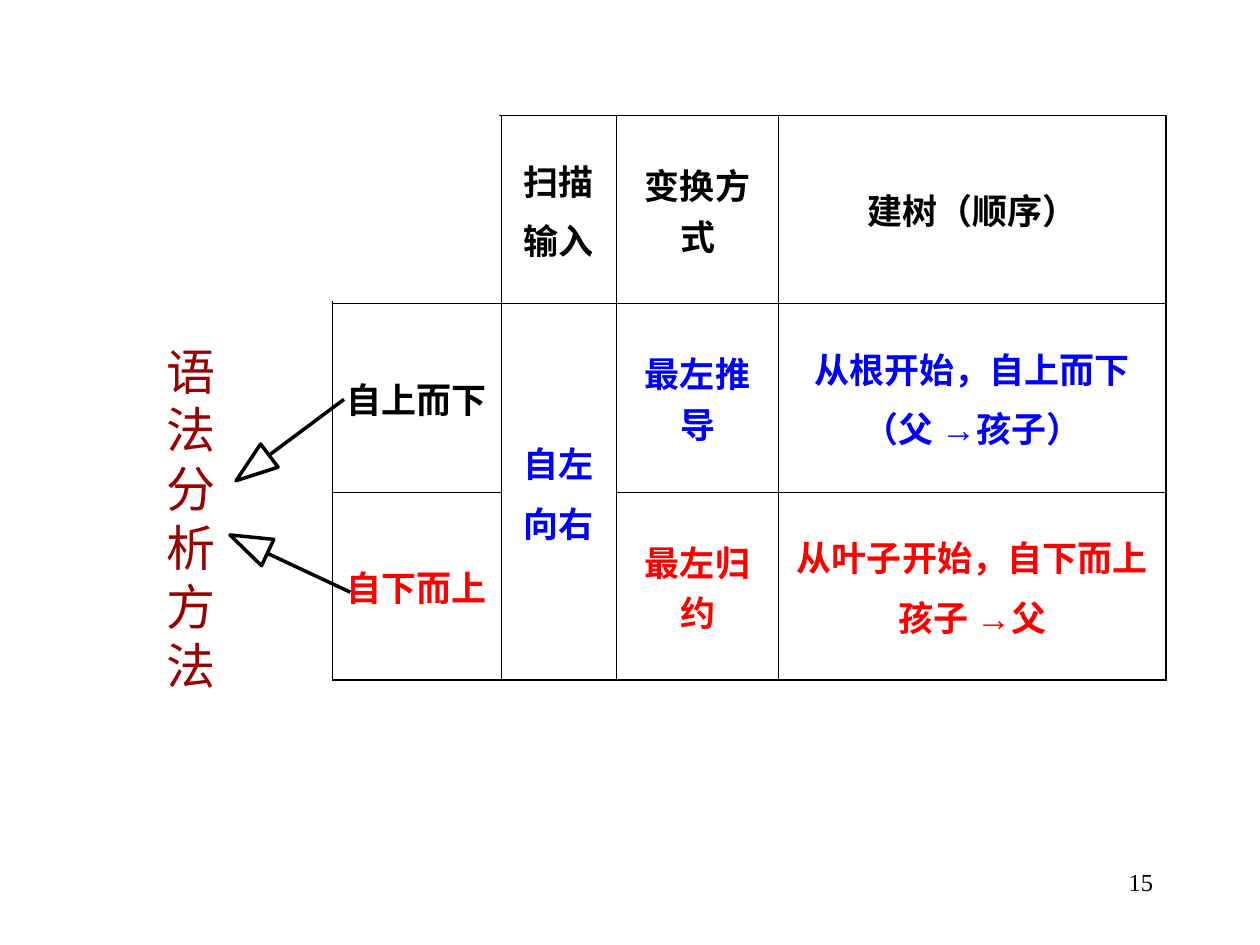
from pptx import Presentation
from pptx.dml.color import RGBColor
from pptx.enum.shapes import MSO_CONNECTOR, MSO_SHAPE
from pptx.enum.text import MSO_ANCHOR, PP_ALIGN
from pptx.oxml.ns import qn
from pptx.util import Pt
from lxml.etree import SubElement

BLACK = RGBColor(0, 0, 0)
WHITE = RGBColor(255, 255, 255)
BLUE = RGBColor(0, 0, 255)
RED = RGBColor(255, 0, 0)
DARK_RED = RGBColor(0x99, 0, 0)
LATIN, CJK, ARROW = "Times New Roman", "Noto Sans CJK SC", "Arial"


def add_run(paragraph, text, latin, east_asian, **formats):
    run = paragraph.add_run()
    run.text = text
    color = formats.pop("color")
    for name, value in {"name": latin, **formats}.items():
        setattr(run.font, name, value)
    run.font.color.rgb = color
    SubElement(run.font._element, qn("a:ea"), typeface=east_asian)


def add_border(cell, side, width):
    line = SubElement(cell._tc.get_or_add_tcPr(), qn(f"a:ln{side}"), w=str(Pt(width)))
    fill = SubElement(line, qn("a:solidFill"))
    SubElement(fill, qn("a:srgbClr"), val=str(BLACK))


prs = Presentation()
prs.slide_width, prs.slide_height = Pt(720), Pt(540)
slide = prs.slides.add_slide(prs.slide_layouts[6])

# Page number
page_number = slide.shapes.add_textbox(Pt(516), Pt(492), Pt(150), Pt(36)).text_frame
page_number.word_wrap = True
page_number.paragraphs[0].alignment = PP_ALIGN.RIGHT
add_run(page_number.paragraphs[0], "15", LATIN, CJK, size=Pt(14), color=BLACK)

# Comparison table: each cell holds its lines and their colour
ROWS = [
    [("", BLACK), ("扫描\n输入", BLACK), ("变换方式", BLACK), ("建树（顺序）", BLACK)],
    [("自上而下", BLACK), ("自左\n向右", BLUE), ("最左推导", BLUE),
     ("从根开始，自上而下\n（父 →孩子）", BLUE)],
    [("自下而上", RED), ("", BLACK), ("最左归约", RED),
     ("从叶子开始，自下而上\n孩子 →父", RED)],
]
COLUMN_WIDTHS = [96.5, 65.8, 92.6, 221.4]
ROW_HEIGHT = 107.6
OUTER, INNER = 1.08, 0.45

comparison = slide.shapes.add_table(
    3, 4, Pt(190), Pt(66), Pt(sum(COLUMN_WIDTHS)), Pt(3 * ROW_HEIGHT)).table
comparison.first_row = comparison.horz_banding = False
for column, width in zip(comparison.columns, COLUMN_WIDTHS):
    column.width = Pt(width)
for row in comparison.rows:
    row.height = Pt(ROW_HEIGHT)
comparison.cell(1, 1).merge(comparison.cell(2, 1))

for r, row in enumerate(ROWS):
    for c, (content, color) in enumerate(row):
        cell = comparison.cell(r, c)
        bottom_row = r + (cell.span_height if cell.is_merge_origin else 1) - 1
        on_edge = {"L": c == 0, "R": c == 3, "T": r == 0, "B": bottom_row == 2}
        for side, is_outer in on_edge.items():
            add_border(cell, side, OUTER if is_outer else INNER)
        cell.fill.solid()
        cell.fill.fore_color.rgb = WHITE
        cell.vertical_anchor = MSO_ANCHOR.MIDDLE
        if not content:
            continue
        for i, line in enumerate(content.split("\n")):
            paragraph = (cell.text_frame.add_paragraph() if i
                         else cell.text_frame.paragraphs[0])
            paragraph.alignment = PP_ALIGN.CENTER
            paragraph.space_before = Pt(5)
            for part in filter(None, line.partition("→")):
                fonts = (ARROW, ARROW) if part == "→" else (LATIN, CJK)
                add_run(paragraph, part, *fonts, size=Pt(20), bold=True, color=color)

# Vertical heading: the narrow box puts one character on each line
heading = slide.shapes.add_textbox(Pt(88), Pt(191), Pt(51), Pt(209.5)).text_frame
heading.word_wrap = True
heading.vertical_anchor = MSO_ANCHOR.MIDDLE
heading_lines = heading.paragraphs[0]
heading_lines.line_spacing = Pt(33.6)
for i, word in enumerate(["语法", "分析", "方法"]):
    if i:
        heading_lines.add_line_break()
    add_run(heading_lines, word, CJK, CJK, size=Pt(28), color=DARK_RED)

# Arrows from the two methods to the heading: shaft ends, head corner, rotation
ARROWS = [
    ((154.1, 259.9, 196.6, 228.2), (136.1, 255.6), 233),
    ((152.6, 316.1, 200.2, 338.4), (133.9, 298.8), 295),
]
for shaft_ends, head_corner, rotation in ARROWS:
    arrow = slide.shapes.add_group_shape().shapes
    shaft = arrow.add_connector(MSO_CONNECTOR.STRAIGHT, *map(Pt, shaft_ends))
    SubElement(shaft._element.spPr, qn("a:effectLst"))
    head = arrow.add_shape(MSO_SHAPE.ISOSCELES_TRIANGLE,
                           *map(Pt, head_corner), Pt(16.6), Pt(23.8))
    head.rotation = rotation
    head.shadow.inherit = False
    head.fill.background()
    for part in (shaft, head):
        part.line.color.rgb = BLACK
        part.line.width = Pt(2)

# White cover over the empty corner cell
corner = slide.shapes.add_shape(
    MSO_SHAPE.RECTANGLE, Pt(159), Pt(64.8), Pt(125.5), Pt(106.6))
corner.shadow.inherit = False
corner.fill.solid()
corner.fill.fore_color.rgb = WHITE
corner.line.color.rgb = WHITE
corner.line.width = Pt(1)

prs.save("out.pptx")
